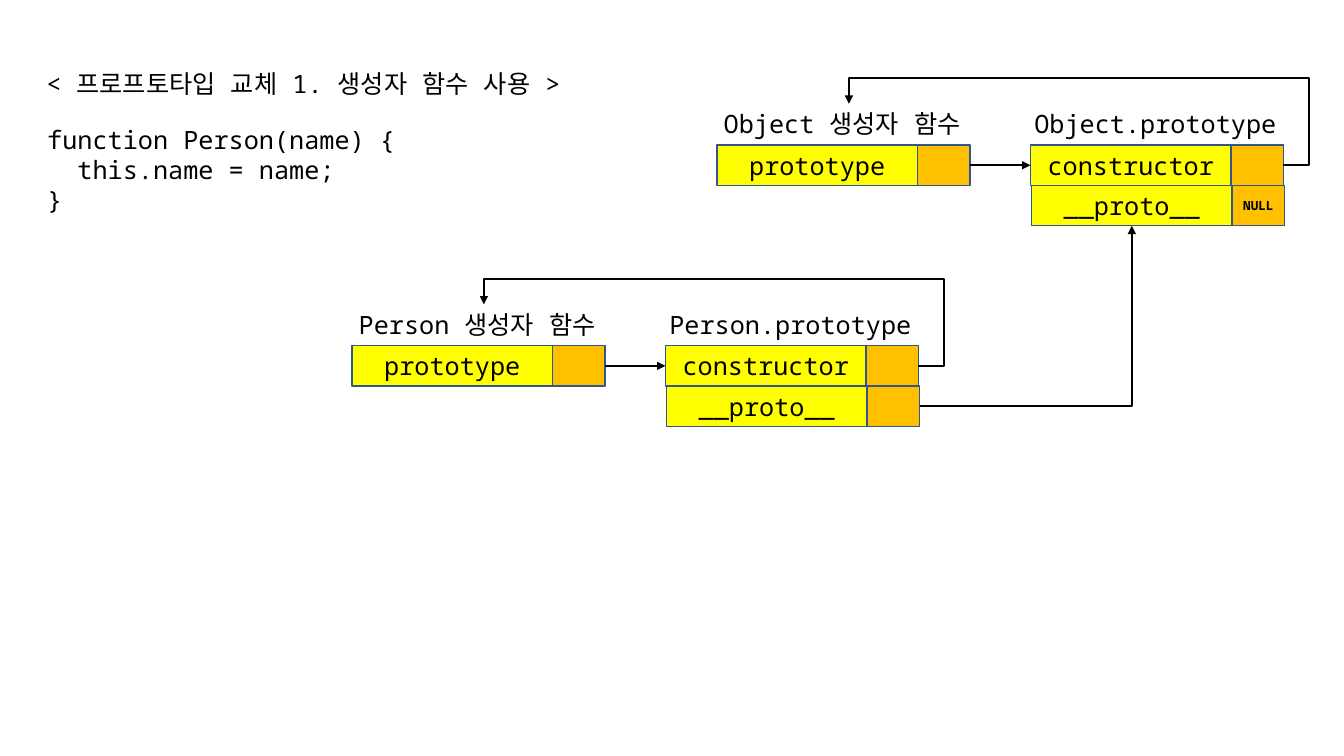
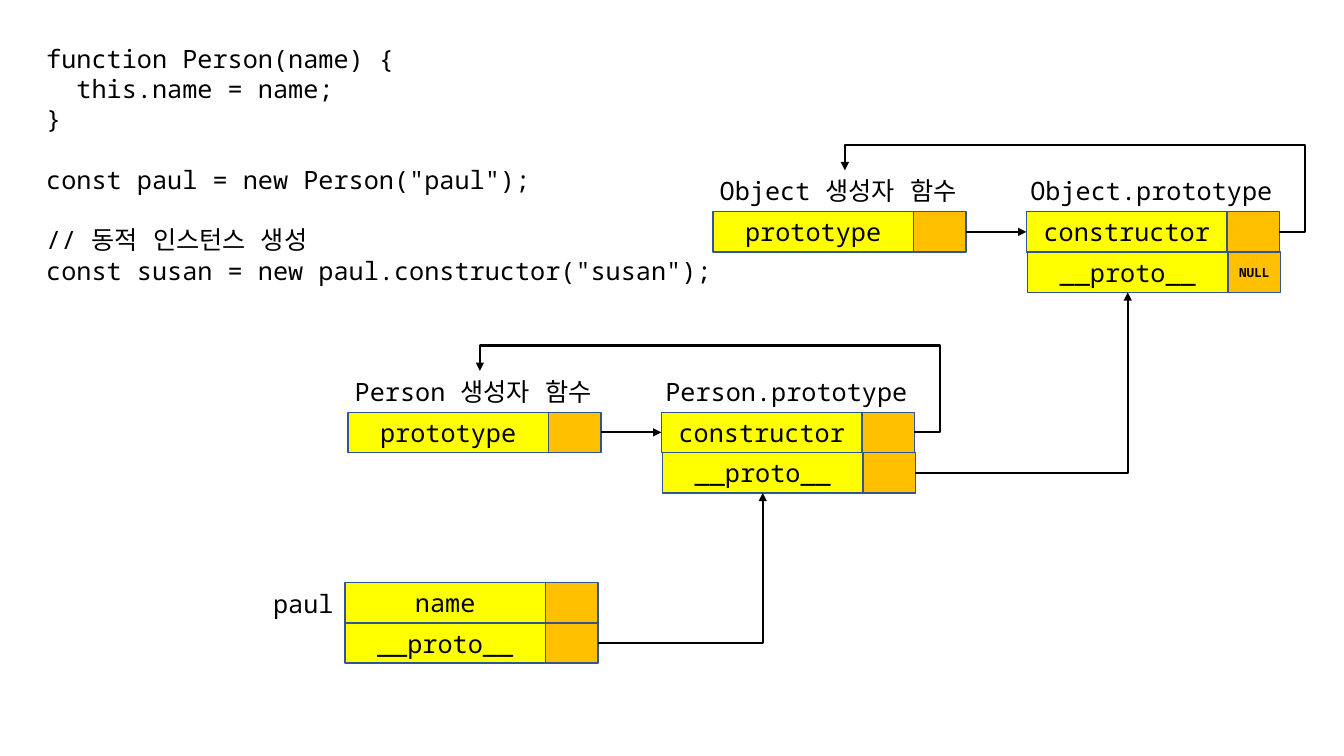
from dataclasses import dataclass

from lxml import etree
from pptx import Presentation
from pptx import util as u
from pptx.dml.color import RGBColor
from pptx.enum import shapes, text
from pptx.oxml import ns


@dataclass(frozen=True)
class Theme:
    """Colours, type sizes and line widths shared by the slides."""
    ink: RGBColor = RGBColor(0, 0, 0)
    key: RGBColor = RGBColor(0xFF, 0xFF, 0x00)
    slot: RGBColor = RGBColor(0xFF, 0xC0, 0x00)
    border: RGBColor = RGBColor(0x32, 0x54, 0x91)
    face: str = "Noto Sans Mono"
    body: int = 18
    small: int = 9
    blank_line: float = 21.6
    border_width: int = 1
    arrow_width: float = 1.5


THEME = Theme()
COLUMNS, ROWS = 133.33, 75
STEP = 0.1
ROW_HEIGHT, KEY_WIDTH, SLOT_WIDTH = 4, 19.9, 5.2
PROTOTYPE_SHIFT = 31.1
OBJECT_SHIFT = (36.2, -19.9)
LABEL_RISE = 4.1
LOOP_ADJUST = {"adj1": -5800, "adj2": 141300}
FREE_TEXT = {"word_wrap": False, "auto_size": text.MSO_AUTO_SIZE.SHAPE_TO_FIT_TEXT,
             "vertical_anchor": text.MSO_ANCHOR.TOP}
CELL_TEXT = {"word_wrap": True, "vertical_anchor": text.MSO_ANCHOR.MIDDLE}

PERSON_CODE = ["function Person(name) {", "  this.name = name;", "}"]
INSTANCE_CODE = [
    PERSON_CODE,
    ['const paul = new Person("paul");'],
    ["// 동적 인스턴스 생성", 'const susan = new paul.constructor("susan");'],
]


def grid(*steps):
    """Turn grid columns or rows into lengths."""
    return [u.Inches(round(step * STEP, 2)) for step in steps]


def assign(target, values):
    """Set each attribute named in a dict of format values."""
    for name, value in values.items():
        setattr(target, name, value)


def write(frame, blocks, align=text.PP_ALIGN.LEFT, size=THEME.body, bold=False):
    """Fill a text frame with blocks of lines, one blank line's gap between blocks."""
    lines = [(line, number > 0 and line_number == 0)
             for number, block in enumerate(blocks)
             for line_number, line in enumerate(block)]
    for index, (line, gap) in enumerate(lines):
        paragraph = frame.add_paragraph() if index else frame.paragraphs[0]
        paragraph.alignment = align
        if gap:
            paragraph.space_before = u.Pt(THEME.blank_line)
        run = paragraph.add_run()
        run.text = line
        assign(run.font, {"size": u.Pt(size), "name": THEME.face, "bold": bold})
        run.font.color.rgb = THEME.ink
        etree.SubElement(run.font._element, ns.qn("a:ea"), typeface=THEME.face)


def add_text(slide, blocks, left, top, width, height=ROW_HEIGHT):
    """Add free-standing text."""
    box = slide.shapes.add_textbox(*grid(left, top, width, height))
    assign(box.text_frame, FREE_TEXT)
    write(box.text_frame, blocks)


def set_title(slide, title, left, top, width):
    """Place and format the title placeholder."""
    heading = slide.shapes.title
    assign(heading, dict(zip(("left", "top", "width", "height"),
                             grid(left, top, width, ROW_HEIGHT))))
    assign(heading.text_frame, FREE_TEXT)
    write(heading.text_frame, [[title]])


def add_cell(slide, label, left, top, width, fill, **style):
    """Add one bordered cell of a property row."""
    cell = slide.shapes.add_shape(shapes.MSO_SHAPE.RECTANGLE,
                                  *grid(left, top, width, ROW_HEIGHT))
    cell.shadow.inherit = False
    cell.fill.solid()
    cell.fill.fore_color.rgb = fill
    cell.line.color.rgb = THEME.border
    cell.line.width = u.Pt(THEME.border_width)
    assign(cell.text_frame, CELL_TEXT)
    if label:
        write(cell.text_frame, [[label]], text.PP_ALIGN.CENTER, **style)
    return cell


def add_property(slide, key, left, top, value=""):
    """Add a property row and return its key and slot cells."""
    return (add_cell(slide, key, left, top, KEY_WIDTH, THEME.key),
            add_cell(slide, value, left + KEY_WIDTH, top, SLOT_WIDTH, THEME.slot,
                     size=THEME.small, bold=True))


def add_arrow(slide, start, end, preset="line", adjust=None):
    """Add an arrow between two grid points with the given connector preset."""
    arrow = slide.shapes.add_connector(shapes.MSO_CONNECTOR.STRAIGHT, *grid(*start, *end))
    arrow.line.color.rgb = THEME.ink
    arrow.line.width = u.Pt(THEME.arrow_width)
    properties = arrow._element.spPr
    etree.SubElement(properties.find(ns.qn("a:ln")), ns.qn("a:tailEnd"), type="triangle")
    etree.SubElement(properties, ns.qn("a:effectLst"))
    geometry = properties.find(ns.qn("a:prstGeom"))
    geometry.set("prst", preset)
    guides = geometry.get_or_add_avLst()
    for name, value in (adjust or {}).items():
        etree.SubElement(guides, ns.qn("a:gd"), name=name, fmla=f"val {value}")
    return arrow


def link(slide, slot, target, side, start, end, preset="line"):
    """Glue an arrow from a slot's right edge to a side of the target cell."""
    arrow = add_arrow(slide, start, end, preset)
    arrow.begin_connect(slot, 3)
    arrow.end_connect(target, side)


def add_constructor(slide, owner, left, top, proto_value=""):
    """Draw a constructor with its prototype and return the __proto__ cells."""
    right = left + PROTOTYPE_SHIFT
    middle = top + ROW_HEIGHT / 2
    row_width = KEY_WIDTH + SLOT_WIDTH
    label_top = top - LABEL_RISE
    _, prototype_slot = add_property(slide, "prototype", left, top)
    constructor, _ = add_property(slide, "constructor", right, top)
    proto = add_property(slide, "__proto__", right + 0.1, top + ROW_HEIGHT, proto_value)
    add_text(slide, [[f"{owner} 생성자 함수"]], left - 0.3, label_top, 26.7)
    add_text(slide, [[f"{owner}.prototype"]], right - 0.6, label_top, 26.1)
    link(slide, prototype_slot, constructor, 1,
         (left + row_width, middle), (right, middle))
    add_arrow(slide, (right + row_width, middle), (left + 13.1, label_top),
              "bentConnector4", LOOP_ADJUST)
    return proto


def link_proto(slide, slot, parent):
    """Lead a __proto__ slot up to the parent's __proto__ cell."""
    link(slide, slot, parent, 2, (0, 1), (1, 0), "bentConnector2")


def add_chain(slide, left, top):
    """Draw Person inheriting from Object and return Person's __proto__ key."""
    person_key, person_slot = add_constructor(slide, "Person", left, top)
    object_key, _ = add_constructor(slide, "Object", left + OBJECT_SHIFT[0],
                                    top + OBJECT_SHIFT[1], "NULL")
    link_proto(slide, person_slot, object_key)
    return person_key


def add_instance(slide, name, parent, left, top):
    """Draw an instance that inherits from the parent cell."""
    add_property(slide, "name", left, top)
    _, proto_slot = add_property(slide, "__proto__", left, top + ROW_HEIGHT)
    add_text(slide, [[name]], left - 8.1, top + 0.1, 8.1)
    link_proto(slide, proto_slot, parent)


def main():
    """Build both slides and save the deck."""
    deck = Presentation()
    deck.slide_width, deck.slide_height = grid(COLUMNS, ROWS)
    title_only, blank = deck.slide_layouts[5], deck.slide_layouts[6]

    replacement = deck.slides.add_slide(title_only)
    set_title(replacement, "< 프로프토타입 교체 1. 생성자 함수 사용 >", 3.6, 6.3, 56.5)
    add_text(replacement, [PERSON_CODE], 3.7, 11.8, 37.7, 10.1)
    add_chain(replacement, 34.9, 34.3)

    instances = deck.slides.add_slide(blank)
    add_text(instances, INSTANCE_CODE, 3.6, 3.8, 68.4, 25.2)
    person_proto = add_chain(instances, 34.5, 40.9)
    add_instance(instances, "paul", person_proto, 34.2, 57.8)

    deck.save("out.pptx")


if __name__ == "__main__":
    main()
